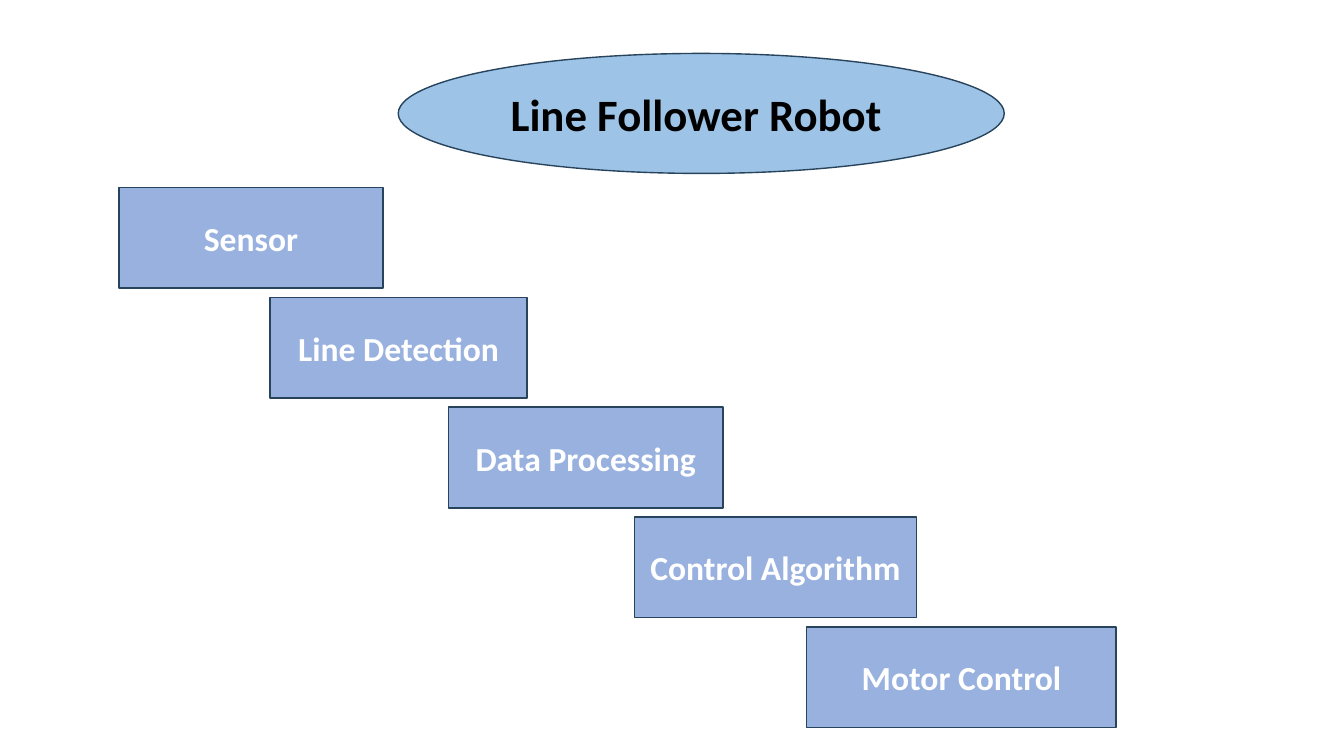
"""Build a slide with the stages of a line follower robot as descending steps."""
from dataclasses import dataclass

from lxml import etree
from pptx import Presentation
from pptx import util as u
from pptx.dml.color import RGBColor
from pptx.enum import shapes, text
from pptx.oxml import ns

COLORS = {
    "topic": "9DC3E6",
    "stage": "8FAADC",
    "outline": "28445D",
    "topic_text": "000000",
    "stage_text": "FFFFFF",
}
SLIDE_WIDTH, SLIDE_HEIGHT = u.Inches(13.33), u.Inches(7.5)
FIRST_TOP, STAGE_STEP, STAGE_HEIGHT = 24.8, 14.53, 13.33
STAGE_OPACITY = 91


@dataclass(frozen=True)
class Area:
    """Position and size in percent of the slide."""
    left: float
    top: float
    width: float
    height: float

    def box(self) -> tuple[int, int, int, int]:
        return (
            int(SLIDE_WIDTH * self.left / 100),
            int(SLIDE_HEIGHT * self.top / 100),
            int(SLIDE_WIDTH * self.width / 100),
            int(SLIDE_HEIGHT * self.height / 100),
        )


@dataclass(frozen=True)
class Stage:
    """A step of the process with its left edge and width in percent."""
    label: str
    left: float
    width: float


TOPIC_AREA = Area(29.63, 7.07, 45.09, 15.87)
STAGES = [
    Stage("Sensor", 8.85, 19.65),
    Stage("Line Detection", 20.1, 19.13),
    Stage("Data Processing", 33.38, 20.41),
    Stage("Control Algorithm", 47.19, 21.01),
    Stage("Motor Control", 60.02, 23.03),
]


def draw_outlined(slide, kind: shapes.MSO_SHAPE, area: Area, color: str):
    """Add a filled and outlined shape."""
    outlined = slide.shapes.add_shape(kind, *area.box())
    outlined.shadow.inherit = False
    outlined.fill.solid()
    outlined.fill.fore_color.rgb = RGBColor.from_string(COLORS[color])
    outlined.line.color.rgb = RGBColor.from_string(COLORS["outline"])
    outlined.line.width = u.Pt(1)
    return outlined


def write_label(holder, label: str, size: int, color: str) -> None:
    """Write one bold centred line."""
    frame = holder.text_frame
    frame.word_wrap = True
    frame.auto_size = text.MSO_AUTO_SIZE.NONE
    frame.vertical_anchor = text.MSO_ANCHOR.MIDDLE
    paragraph = frame.paragraphs[0]
    paragraph.alignment = text.PP_ALIGN.CENTER
    run = paragraph.add_run()
    run.text = label
    run.font.name = "Calibri"
    run.font.size = u.Pt(size)
    run.font.bold = True
    run.font.color.rgb = RGBColor.from_string(COLORS[color])


def draw_topic(slide) -> None:
    """Draw the ellipse and lay the slide title over it."""
    draw_outlined(slide, shapes.MSO_SHAPE.OVAL, TOPIC_AREA, "topic")
    title = slide.shapes.title
    title.left, title.top, title.width, title.height = TOPIC_AREA.box()
    write_label(title, "Line Follower Robot ", 32, "topic_text")
    slide.shapes._spTree.append(title._element)


def draw_stage(slide, row: int, stage: Stage) -> None:
    """Draw one slightly transparent step."""
    area = Area(stage.left, FIRST_TOP + row * STAGE_STEP, stage.width, STAGE_HEIGHT)
    step = draw_outlined(slide, shapes.MSO_SHAPE.RECTANGLE, area, "stage")
    fill_color = step._element.spPr.find(ns.qn("a:solidFill"))[0]
    etree.SubElement(fill_color, ns.qn("a:alpha"), val=str(STAGE_OPACITY * 1000))
    write_label(step, stage.label, 24, "stage_text")


def main() -> None:
    """Build and save the slide."""
    deck = Presentation()
    deck.slide_width, deck.slide_height = SLIDE_WIDTH, SLIDE_HEIGHT
    slide = deck.slides.add_slide(deck.slide_layouts.get_by_name("Title Only"))
    draw_topic(slide)
    for row, stage in enumerate(STAGES):
        draw_stage(slide, row, stage)
    deck.save("out.pptx")


if __name__ == "__main__":
    main()
